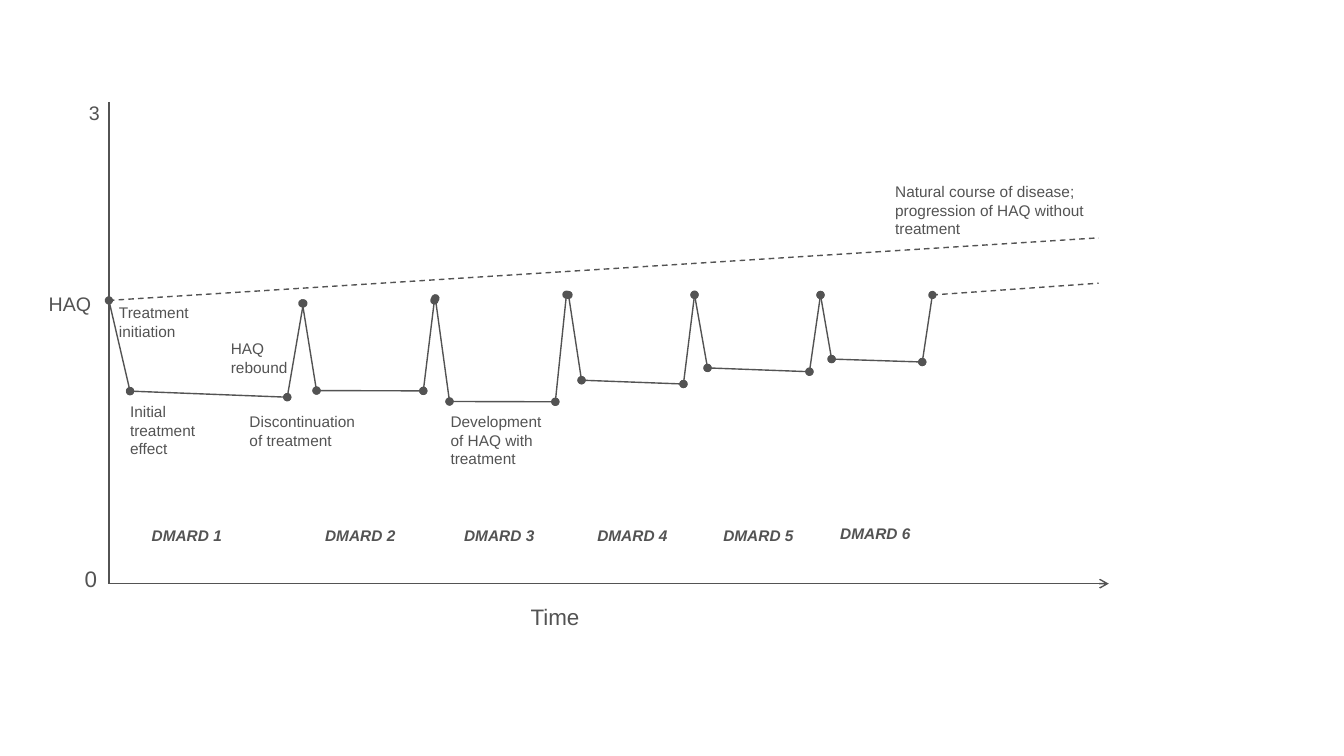
from dataclasses import dataclass
from itertools import pairwise

from lxml import etree
from pptx import Presentation
from pptx.dml.color import RGBColor
from pptx.enum.dml import MSO_LINE
from pptx.enum.text import MSO_ANCHOR, PP_ALIGN
from pptx.oxml.ns import qn
from pptx.util import Pt

LEFT, CENTER = PP_ALIGN.LEFT, PP_ALIGN.CENTER
TOP = MSO_ANCHOR.TOP
DASH = MSO_LINE.DASH
GREY = "535353"
FONT = "Arial"
Point = tuple[float, float]


@dataclass
class Label:
    text: str
    left: float
    top: float
    width: float
    height: float
    size: float = 11
    align: PP_ALIGN = LEFT
    strong: bool = False


@dataclass
class Cycle:
    """One drug: HAQ at start, after the effect, at stopping, after rebound."""
    start: Point
    effect: Point
    stop: Point
    rebound: Point
    label_left: float
    label_top: float = 375.8


def rgb(color: str) -> RGBColor:
    return RGBColor.from_string(color)


def add_line(shapes, start: Point, end: Point, head: str = "", tail: str = "",
             dashed: bool = False) -> None:
    line = shapes.add_connector(1, *map(Pt, start + end))
    line.line.color.rgb = rgb(GREY)
    line.line.width = Pt(1)
    if dashed:
        line.line.dash_style = DASH
    ln = line.line._get_or_add_ln()
    for tag, kind in (("a:headEnd", head), ("a:tailEnd", tail)):
        if kind:
            etree.SubElement(ln, qn(tag), type=kind)
    etree.SubElement(line._element.spPr, qn("a:effectLst"))


def add_label(shapes, label: Label) -> None:
    box = (label.left, label.top, label.width, label.height)
    tf = shapes.add_textbox(*map(Pt, box)).text_frame
    tf.word_wrap = True
    tf.vertical_anchor = TOP
    tf.margin_left = tf.margin_right = tf.margin_top = tf.margin_bottom = 0
    p = tf.paragraphs[0]
    p.text = label.text
    p.alignment = label.align
    p.font.name = FONT
    p.font.size = Pt(label.size)
    p.font.color.rgb = rgb(GREY)
    if label.strong:
        p.font.bold = p.font.italic = True


ORIGIN = (77.8, 416.9)
BASELINE = (77.8, 214.6)

CYCLES = [
    Cycle(BASELINE, (92.9, 279.4), (205.2, 283.7), (216.7, 216.7), 102.2),
    Cycle((216, 216.7), (226.1, 279), (302.4, 279.2), (310.3, 214.6), 226.1),
    Cycle((311, 213.1), (321.1, 286.8), (396.7, 287), (404.6, 210.5), 325.4),
    Cycle((406.1, 210.7), (415.4, 271.6), (488.2, 274.3), (496.1, 210.7), 420.5),
    Cycle((496.1, 210.5), (505.4, 262.8), (578.2, 265.5), (586.1, 210.7), 510.5),
    Cycle((586.1, 210.7), (594, 256.5), (658.8, 258.6), (666, 210.7), 594, 374.4),
]

LABELS = [
    # Axes
    Label("0", 60.5, 403.9, 27.4, 28.8, 16),
    Label("3", 63.4, 72, 27.4, 28.8, 14),
    Label("HAQ", 26.6, 208.8, 46.8, 28.8, 14, CENTER),
    Label("Time", 373, 430.6, 46.8, 28.8, 16, CENTER),
    # Notes on the course of treatment
    Label("Initial treatment effect", 92.9, 287.3, 52.6, 41.8),
    Label("Natural course of disease; progression of HAQ without treatment",
          639.4, 130.3, 149.8, 28.8),
    Label("Development of HAQ with treatment", 321.8, 294.5, 66.2, 14.4),
    Label("Discontinuation of treatment", 178.2, 294.5, 77.8, 37.4),
    Label("HAQ rebound", 164.9, 242.6, 52.6, 31.7),
    Label("Treatment initiation", 85, 216.7, 52.6, 26.6),
]

prs = Presentation()
prs.slide_width, prs.slide_height = Pt(960), Pt(540)
shapes = prs.slides.add_slide(prs.slide_layouts[6]).shapes

# Axes
add_line(shapes, (77.8, 72.7), ORIGIN)
add_line(shapes, ORIGIN, (792, 416.9), tail="arrow")

# Courses without treatment
add_line(shapes, BASELINE, (784.8, 169.9), dashed=True)
add_line(shapes, CYCLES[-1].rebound, (784.8, 202.3), dashed=True)

# Treatment cycles
for number, cycle in enumerate(CYCLES, 1):
    for start, end in pairwise((cycle.start, cycle.effect, cycle.stop, cycle.rebound)):
        add_line(shapes, start, end, "oval", "oval")
    add_label(shapes, Label(f"DMARD {number}", cycle.label_left, cycle.label_top,
                            62.6, 18, align=CENTER, strong=True))

# Axis labels and notes
for label in LABELS:
    add_label(shapes, label)

prs.save("out.pptx")
